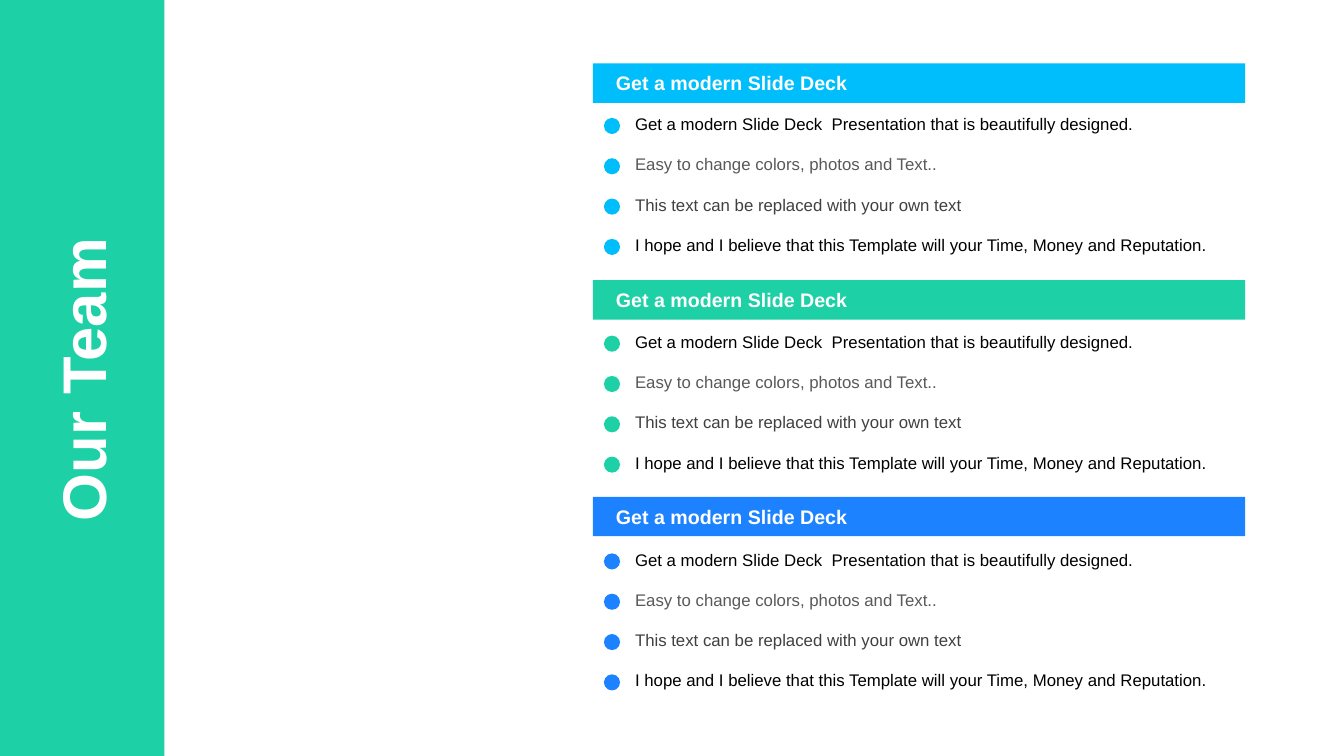
from dataclasses import dataclass

from pptx import Presentation
from pptx.dml.color import RGBColor
from pptx.enum.shapes import MSO_SHAPE as Shape
from pptx.enum.text import MSO_ANCHOR as Anchor
from pptx.util import Inches, Pt


@dataclass(frozen=True)
class Theme:
    """Colours, font and type sizes of the slide."""
    font: str = "Arial"
    sky: str = "00BDFB"
    green: str = "1ED0A6"
    blue: str = "1C82FF"
    white: str = "FFFFFF"
    black: str = "000000"
    grey: str = "595959"
    dark: str = "404040"
    title: int = 44
    heading: int = 14
    body: int = 12


THEME = Theme()
HEADING = "Get a modern Slide Deck"
POINTS = [
    ("Get a modern Slide Deck  Presentation that is beautifully designed.", THEME.black),
    ("Easy to change colors, photos and Text..", THEME.grey),
    ("This text can be replaced with your own text", THEME.dark),
    ("I hope and I believe that this Template will your Time, Money and Reputation.", THEME.black),
]


def add_block(s, kind, x, y, w, h, color):
    """Add a plain filled shape without outline or shadow."""
    sp = s.shapes.add_shape(kind, Inches(x), Inches(y), Inches(w), Inches(h))
    sp.shadow.inherit = False
    sp.fill.solid()
    sp.fill.fore_color.rgb = RGBColor.from_string(color)
    sp.line.fill.background()


def add_text(s, text, x, y, w, h, size, color, bold=False, wrap=True, anchor=Anchor.TOP):
    """Add a one-line text box and return it."""
    sp = s.shapes.add_textbox(Inches(x), Inches(y), Inches(w), Inches(h))
    tf = sp.text_frame
    tf.word_wrap = wrap
    tf.vertical_anchor = anchor
    r = tf.paragraphs[0].add_run()
    r.text = text
    r.font.name = THEME.font
    r.font.size = Pt(size)
    r.font.bold = bold
    r.font.color.rgb = RGBColor.from_string(color)
    return sp


def add_title_band(s, x, y, w, h):
    """Draw the side band with the title turned upwards at its centre."""
    add_block(s, Shape.RECTANGLE, x, y, w, h, THEME.green)
    tw, th = 3.04, 0.84
    sp = add_text(s, "Our Team", x + (w - tw) / 2, y + (h - th) / 2, tw, th,
                  THEME.title, THEME.white, bold=True, wrap=False)
    sp.rotation = 270


def add_heading(s, x, y, w, h, color):
    """Draw a coloured bar with its heading."""
    add_block(s, Shape.RECTANGLE, x, y, w, h, color)
    add_text(s, HEADING, x + 0.13, y + 0.04, 3.62, h - 0.08,
             THEME.heading, THEME.white, bold=True, anchor=Anchor.MIDDLE)


def add_points(s, x, y, w, color, step=0.4, dot=0.16):
    """Draw the list of points, each with a round marker."""
    for i, (text, text_color) in enumerate(POINTS):
        top = y + i * step
        add_block(s, Shape.OVAL, x, top + 0.09, dot, dot, color)
        add_text(s, text, x + 0.21, top, w - 0.21, 0.3, THEME.body, text_color)


def main():
    """Build the slide and save it."""
    prs = Presentation()
    prs.slide_width, prs.slide_height = Inches(13.33), Inches(7.5)
    s = prs.slides.add_slide(prs.slide_layouts[6])
    add_title_band(s, 0, 0, 1.63, 7.5)
    for i, color in enumerate((THEME.sky, THEME.green, THEME.blue)):
        add_heading(s, 5.88, 0.63 + i * 2.15, 6.47, 0.39, color)
        add_points(s, 5.99, 1.08 + i * 2.16, 6.49, color)
    prs.save("out.pptx")


if __name__ == "__main__":
    main()
